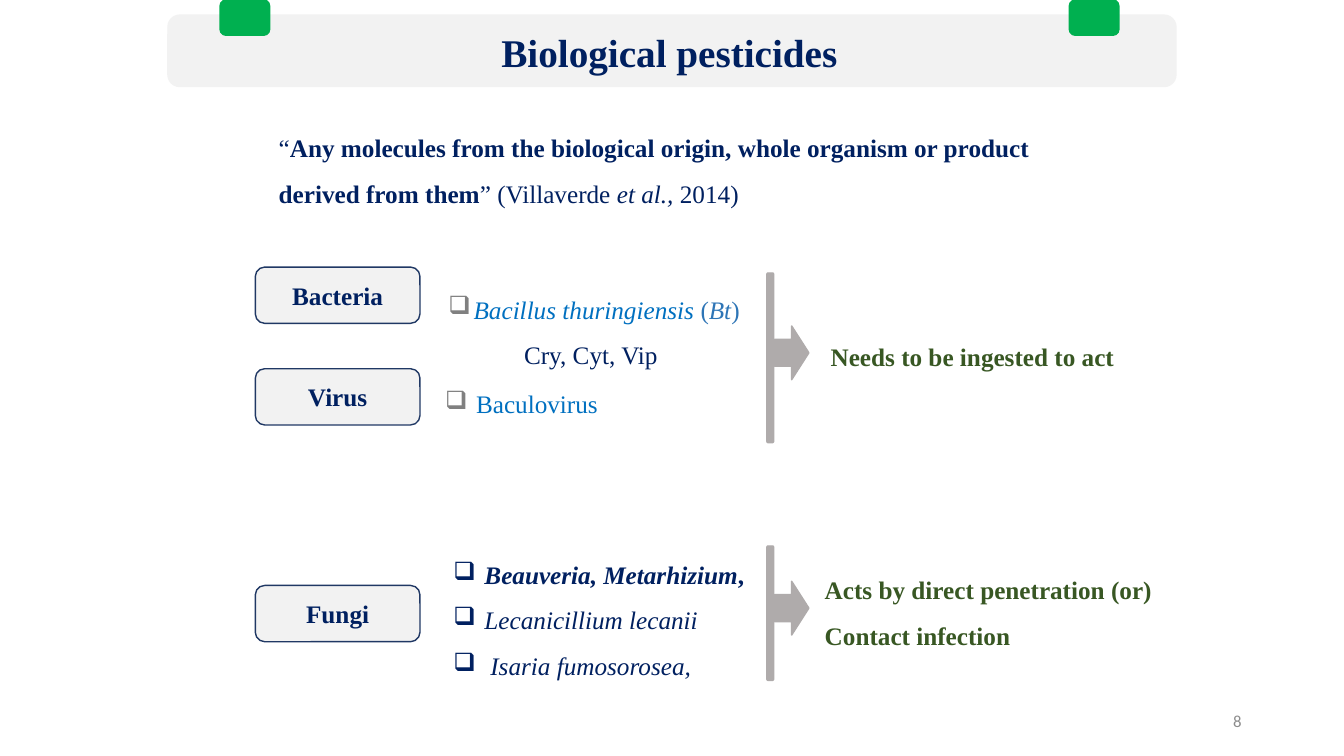
from dataclasses import dataclass

import lxml.etree
import pptx
import pptx.dml.color
import pptx.enum.shapes
import pptx.enum.text
import pptx.oxml.ns
import pptx.util

SHAPE = pptx.enum.shapes.MSO_SHAPE
ALIGN = pptx.enum.text.PP_ALIGN
ANCHOR = pptx.enum.text.MSO_ANCHOR

# Grid of 16 columns by 9 rows
WIDTH, HEIGHT = pptx.util.Inches(13.33), pptx.util.Inches(7.5)
COLUMN, ROW = WIDTH / 16, HEIGHT / 9

NAVY, BLUE, STEEL, OLIVE = "002060", "0070C0", "2E75B6", "385723"
PALE, GREEN, GREY, OUTLINE = "F2F2F2", "00B050", "AFABAB", "203864"
BULLET_GREY, NUMBER_GREY = "808080", "8C8C8C"
SERIF = "Times New Roman"


@dataclass
class Area:
    left: float
    top: float
    width: float
    height: float


@dataclass
class Span:
    text: str
    color: str = NAVY
    bold: bool = False
    italic: bool = False
    size: int = 18
    font: str = SERIF


@dataclass
class Line:
    spans: list[Span]
    indent: float = 0
    hanging: float = 0
    bullet_color: str = ""
    spacing: float = 1.5
    align: ALIGN = ALIGN.LEFT


@dataclass
class TextBlock:
    area: Area
    lines: list[Line]
    anchor: ANCHOR = ANCHOR.TOP


def rgb(color: str) -> pptx.dml.color.RGBColor:
    return pptx.dml.color.RGBColor.from_string(color)


def place(area: Area) -> tuple[int, int, int, int]:
    return (round(area.left * COLUMN), round(area.top * ROW),
            round(area.width * COLUMN), round(area.height * ROW))


def add_bullet(para, color: str) -> None:
    properties = para._p.get_or_add_pPr()
    tag = pptx.oxml.ns.qn
    bullet_color = lxml.etree.SubElement(properties, tag("a:buClr"))
    lxml.etree.SubElement(bullet_color, tag("a:srgbClr"), val=color)
    lxml.etree.SubElement(properties, tag("a:buChar"), char="❑")


def write(frame, lines: list[Line]) -> None:
    for index, line in enumerate(lines):
        para = frame.add_paragraph() if index else frame.paragraphs[0]
        para.alignment = line.align
        para.line_spacing = line.spacing
        if line.indent:
            properties = para._p.get_or_add_pPr()
            properties.set("marL", str(round(line.indent * COLUMN)))
            properties.set("indent", str(round(-line.hanging * COLUMN)))
        if line.bullet_color:
            add_bullet(para, line.bullet_color)
        for span in line.spans:
            run = para.add_run()
            run.text = span.text
            run.font.name = span.font
            run.font.size = pptx.util.Pt(span.size)
            run.font.bold = span.bold
            run.font.italic = span.italic
            run.font.color.rgb = rgb(span.color)


def add_block(page, block: TextBlock) -> None:
    frame = page.shapes.add_textbox(*place(block.area)).text_frame
    frame.word_wrap = True
    frame.vertical_anchor = block.anchor
    write(frame, block.lines)


def add_box(page, area: Area, fill: str, outline: str, kind: SHAPE = SHAPE.ROUNDED_RECTANGLE):
    box = page.shapes.add_shape(kind, *place(area))
    box.shadow.inherit = False
    box.fill.solid()
    box.fill.fore_color.rgb = rgb(fill)
    box.line.color.rgb = rgb(outline)
    box.line.width = pptx.util.Pt(1)
    return box


def add_label(page, name: str, top: float) -> None:
    box = add_box(page, Area(3.04, top, 1.96, 0.67), PALE, OUTLINE)
    box.text_frame.vertical_anchor = ANCHOR.MIDDLE
    write(box.text_frame, [Line([Span(name, bold=True)], spacing=1, align=ALIGN.CENTER)])


def add_bracket(page, top: float, height: float) -> None:
    arrow_height = 0.64
    arrow_top = top + (height - arrow_height) / 2 - 0.06
    add_box(page, Area(9.13, top, 0.08, height), GREY, GREY)
    add_box(page, Area(9.22, arrow_top, 0.41, arrow_height), GREY, GREY, SHAPE.RIGHT_ARROW)


LABELS = {"Bacteria": 3.18, "Virus": 4.39, "Fungi": 6.97}
BRACKETS = [(3.25, 2.02), (6.5, 1.6)]
TAB_LEFTS = [2.62, 12.73]

BLOCKS = [
    # Title
    TextBlock(Area(2.57, 0.34, 10.8, 0.67), [
        Line([Span("Biological pesticides", bold=True, size=28)],
             spacing=0.9, align=ALIGN.CENTER)]),
    # Definition
    TextBlock(Area(3.2, 1.34, 10.16, 1.21), [Line([
        Span("“"),
        Span("Any molecules from the biological origin, whole organism "
             "or product derived from them", bold=True),
        Span("” (Villaverde "),
        Span("et al., ", italic=True),
        Span("2014)")])]),
    # Bacteria
    TextBlock(Area(4.62, 3.26, 4.4, 1.22), [
        Line([Span("Bacillus thuringiensis ", BLUE, italic=True), Span("(", STEEL),
              Span("Bt", STEEL, italic=True), Span(")", STEEL)], 0.9, 0.3, BULLET_GREY),
        Line([Span("Cry, Cyt, Vip")], 1.5)]),
    # Virus
    TextBlock(Area(4.58, 4.38, 3, 0.67), [
        Line([Span("Baculovirus", BLUE)], 0.97, 0.37, BULLET_GREY)]),
    # Fungi
    TextBlock(Area(5.28, 6.42, 3.84, 1.76), [
        Line([Span("Beauveria, Metarhizium", bold=True, italic=True),
              Span(",", bold=True)], 0.37, 0.37, NAVY),
        Line([Span("Lecanicillium lecanii", italic=True)], 0.37, 0.37, NAVY),
        Line([Span("Isaria fumosorosea,", italic=True)], 0.44, 0.44, NAVY)]),
    # Modes of action
    TextBlock(Area(9.77, 3.83, 4.49, 0.67), [
        Line([Span("Needs to be ingested to act", OLIVE, bold=True)])]),
    TextBlock(Area(9.7, 6.6, 4.49, 1.21), [
        Line([Span("Acts by direct penetration (or)", OLIVE, bold=True)]),
        Line([Span("Contact infection", OLIVE, bold=True)])]),
    # Page number
    TextBlock(Area(11.3, 8.34, 3.6, 0.48), [
        Line([Span("8", NUMBER_GREY, size=12, font="Calibri")],
             spacing=1, align=ALIGN.RIGHT)], ANCHOR.MIDDLE),
]


def main() -> None:
    deck = pptx.Presentation()
    deck.slide_width, deck.slide_height = WIDTH, HEIGHT
    page = deck.slides.add_slide(deck.slide_layouts[6])

    # Banner with its two tabs
    add_box(page, Area(2, 0.18, 12, 0.85), PALE, PALE)
    for left in TAB_LEFTS:
        add_box(page, Area(left, 0, 0.59, 0.42), GREEN, GREEN)

    # Organism groups and the brackets that lead to their action
    for name, top in LABELS.items():
        add_label(page, name, top)
    for top, height in BRACKETS:
        add_bracket(page, top, height)

    for block in BLOCKS:
        add_block(page, block)
    deck.save("out.pptx")


if __name__ == "__main__":
    main()
